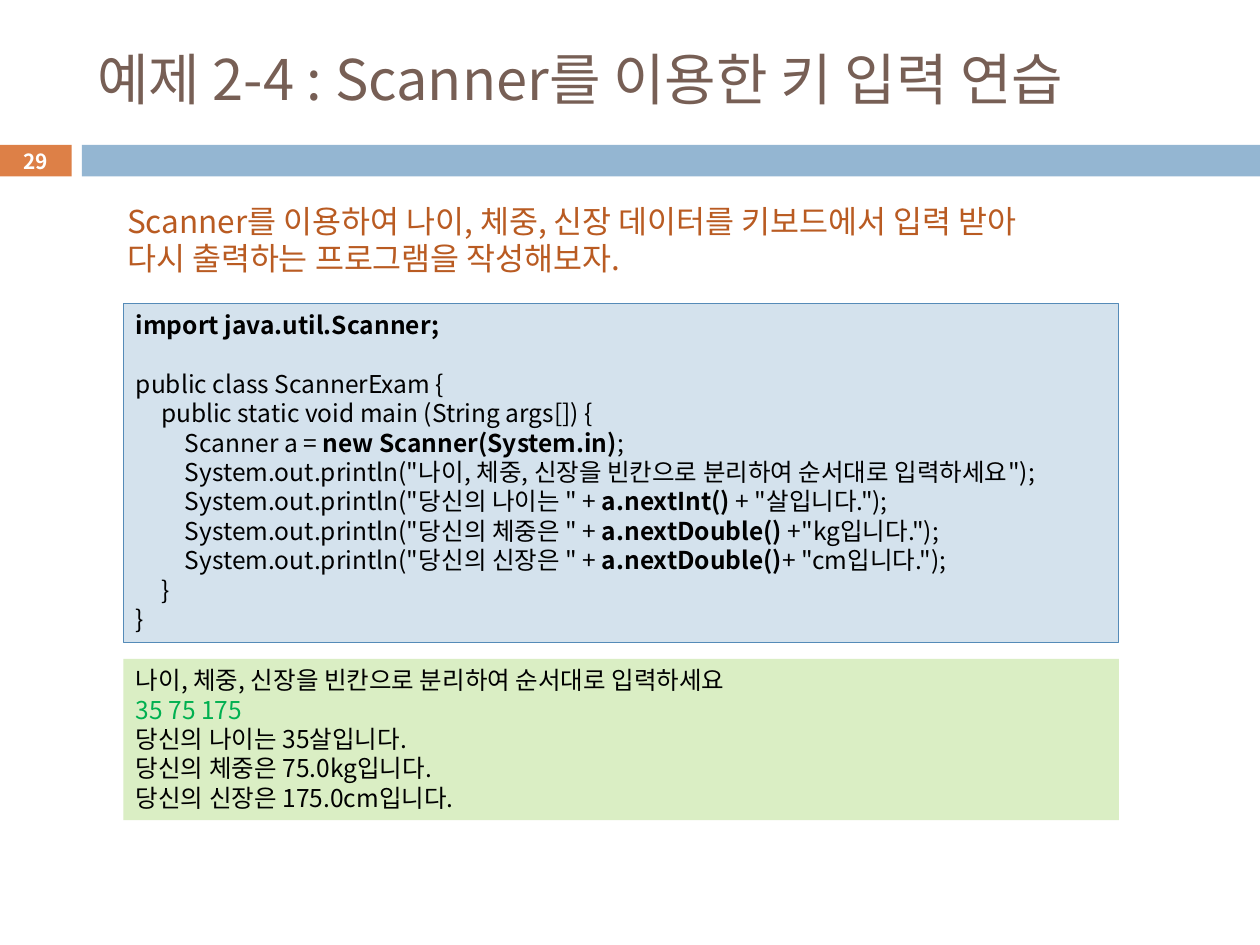
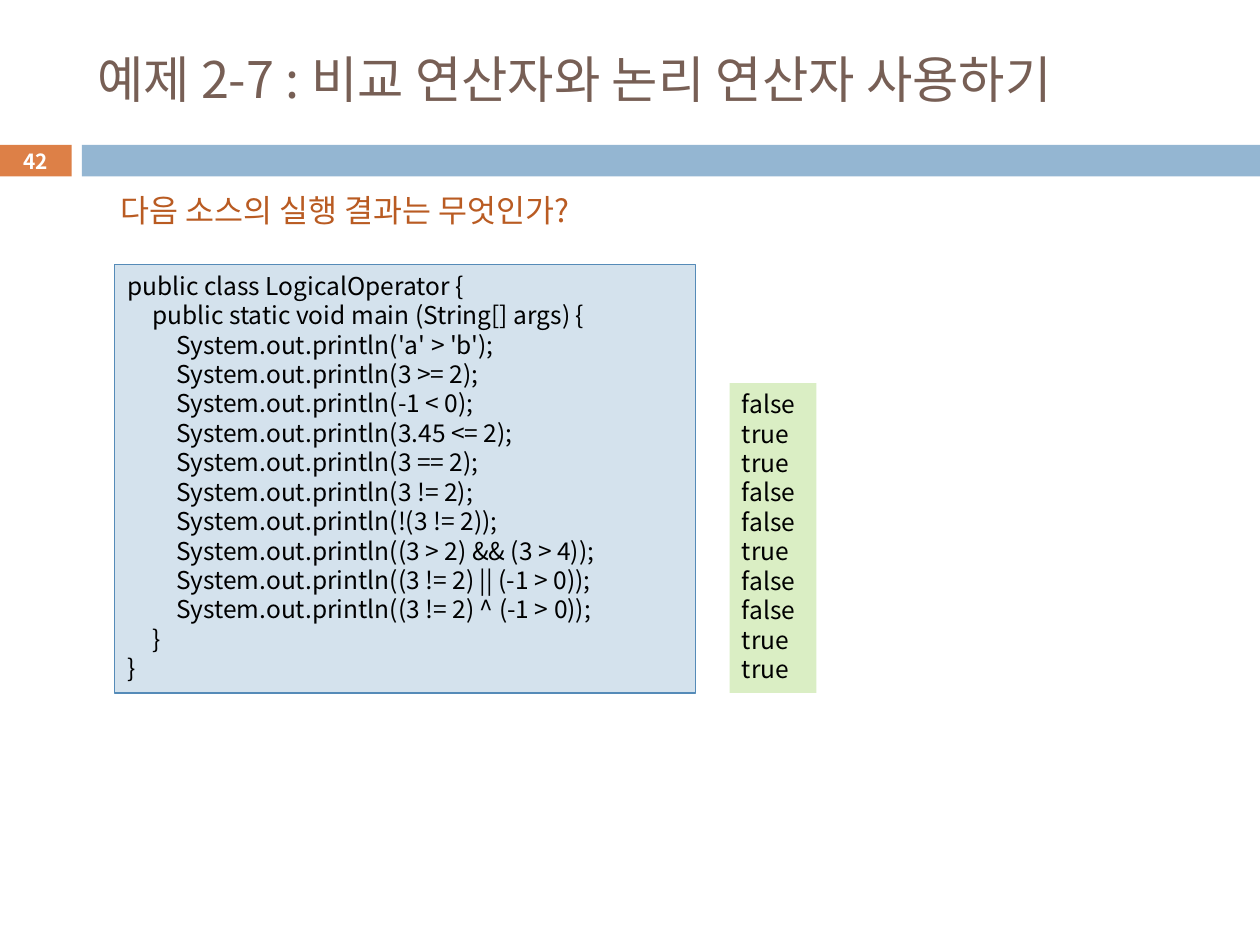
from dataclasses import dataclass

from lxml import etree
from pptx import Presentation
from pptx.dml.color import RGBColor
from pptx.enum import shapes, text
from pptx.oxml import ns
from pptx.util import Inches, Pt


@dataclass(frozen=True)
class Theme:
    font: str = "Noto Sans CJK KR"
    title: str = "775F55"
    question: str = "B95B22"
    number_band: str = "DD8047"
    title_band: str = "94B6D2"
    code_fill: str = "D4E2ED"
    code_line: str = "558BB8"
    output_fill: str = "DAEEC4"
    typed: str = "00B050"
    ink: str = "000000"
    white: str = "FFFFFF"
    question_size: float = 18
    code_size: float = 14
    number_size: float = 11.9
    leading: float = 1.2


THEME = Theme()
BOLD = {"bold": True}
TYPED = {"color": THEME.typed}
TAB_STOPS = (0.2, 0.39)
TITLE_BOX = (0.67, 0.25, 8.92, 0.74)
NUMBER_BAND = (0, 1.15, 0.57, 0.25)
TITLE_BAND = (0.65, 1.15, 9.35, 0.25)

# A line is a string, or a list of strings and (string, style) pairs.
SLIDES = [
    {
        "title": "예제 2-4 : Scanner를 이용한 키 입력 연습",
        "title_size": 32,
        "number": "29",
        "question": [
            "Scanner를 이용하여 나이, 체중, 신장 데이터를 키보드에서 입력 받아",
            "다시 출력하는 프로그램을 작성해보자.",
        ],
        "question_box": (0.91, 1.55, 7.92, 0.71),
        "code": [
            [("import java.util.Scanner;", BOLD)],
            "",
            "public class ScannerExam {",
            "\tpublic static void main (String args[]) {",
            ["\t\tScanner a = ", ("new Scanner(System.in)", BOLD), ";"],
            '\t\tSystem.out.println("나이, 체중, 신장을 빈칸으로 분리하여 순서대로 입력하세요");',
            ['\t\tSystem.out.println("당신의 나이는 " + ', ("a.nextInt()", BOLD), ' + "살입니다.");'],
            ['\t\tSystem.out.println("당신의 체중은 " + ', ("a.nextDouble()", BOLD), ' +"kg입니다.");'],
            ['\t\tSystem.out.println("당신의 신장은 " + ', ("a.nextDouble()", BOLD), '+ "cm입니다.");'],
            "\t}",
            "}",
        ],
        "code_box": (0.98, 2.41, 7.9, 2.69),
        "output": [
            "나이, 체중, 신장을 빈칸으로 분리하여 순서대로 입력하세요",
            [("35 75 175", TYPED)],
            "당신의 나이는 35살입니다.",
            "당신의 체중은 75.0kg입니다.",
            "당신의 신장은 175.0cm입니다.",
        ],
        "output_box": (0.98, 5.23, 7.9, 1.28),
    },
    {
        "title": "예제 2-7 : 비교 연산자와 논리 연산자 사용하기",
        "title_size": 28.8,
        "number": "42",
        "question": ["다음 소스의 실행 결과는 무엇인가?"],
        "question_box": (0.86, 1.47, 4.18, 0.4),
        "code": [
            "public class LogicalOperator {",
            "\tpublic static void main (String[] args) {",
            "\t\tSystem.out.println('a' > 'b');",
            "\t\tSystem.out.println(3 >= 2);",
            "\t\tSystem.out.println(-1 < 0);",
            "\t\tSystem.out.println(3.45 <= 2);",
            "\t\tSystem.out.println(3 == 2);",
            "\t\tSystem.out.println(3 != 2);",
            "\t\tSystem.out.println(!(3 != 2));",
            "\t\tSystem.out.println((3 > 2) && (3 > 4));",
            "\t\tSystem.out.println((3 != 2) || (-1 > 0));",
            "\t\tSystem.out.println((3 != 2) ^ (-1 > 0));",
            "\t}",
            "}",
        ],
        "code_box": (0.91, 2.1, 4.61, 3.4),
        "output": ["false", "true", "true", "false", "false",
                   "true", "false", "false", "true", "true"],
        "output_box": (5.79, 3.04, 0.69, 2.46),
    },
]


def inches(box):
    return [Inches(length) for length in box]


def add_run(paragraph, words, size, color, bold=False):
    run = paragraph.add_run()
    run.text = words
    run.font.size = Pt(size)
    run.font.bold = bold
    run.font.color.rgb = RGBColor.from_string(color)
    run.font.name = THEME.font
    east_asian = etree.SubElement(run.font._element, ns.qn("a:ea"))
    east_asian.set("typeface", THEME.font)


def add_tab_stops(paragraph):
    stops = etree.SubElement(paragraph._p.get_or_add_pPr(), ns.qn("a:tabLst"))
    for position in TAB_STOPS:
        etree.SubElement(stops, ns.qn("a:tab"), pos=str(Inches(position)), algn="l")


def write(shape, lines, size, color, bold=False, tabs=False,
          align=text.PP_ALIGN.LEFT, anchor=text.MSO_ANCHOR.TOP):
    frame = shape.text_frame
    frame.word_wrap = True
    frame.auto_size = text.MSO_AUTO_SIZE.NONE
    frame.vertical_anchor = anchor
    for index, line in enumerate(lines):
        paragraph = frame.add_paragraph() if index else frame.paragraphs[0]
        paragraph.alignment = align
        paragraph.line_spacing = Pt(size * THEME.leading)
        if tabs:
            add_tab_stops(paragraph)
        for part in [line] if isinstance(line, str) else line:
            words, style = (part, {}) if isinstance(part, str) else part
            if words:
                add_run(paragraph, words, size, **{"color": color, "bold": bold, **style})


def add_panel(slide, box, fill, line=None):
    panel = slide.shapes.add_shape(shapes.MSO_SHAPE.RECTANGLE, *inches(box))
    panel.shadow.inherit = False
    panel.fill.solid()
    panel.fill.fore_color.rgb = RGBColor.from_string(fill)
    if line:
        panel.line.color.rgb = RGBColor.from_string(line)
        panel.line.width = Pt(0.75)
    else:
        panel.line.fill.background()
    return panel


def add_header(slide, content):
    title = slide.shapes.title
    title.left, title.top, title.width, title.height = inches(TITLE_BOX)
    write(title, [content["title"]], content["title_size"], THEME.title,
          anchor=text.MSO_ANCHOR.MIDDLE)
    add_panel(slide, TITLE_BAND, THEME.title_band)
    number = add_panel(slide, NUMBER_BAND, THEME.number_band)
    write(number, [content["number"]], THEME.number_size, THEME.white, bold=True,
          align=text.PP_ALIGN.CENTER, anchor=text.MSO_ANCHOR.MIDDLE)


def add_example(deck, content):
    slide = deck.slides.add_slide(deck.slide_layouts.get_by_name("Title Only"))
    add_header(slide, content)
    question = slide.shapes.add_textbox(*inches(content["question_box"]))
    write(question, content["question"], THEME.question_size, THEME.question)
    code = add_panel(slide, content["code_box"], THEME.code_fill, THEME.code_line)
    write(code, content["code"], THEME.code_size, THEME.ink, tabs=True)
    output = add_panel(slide, content["output_box"], THEME.output_fill)
    write(output, content["output"], THEME.code_size, THEME.ink)


def main():
    deck = Presentation()
    deck.slide_width, deck.slide_height = Inches(10), Inches(7.5)
    for content in SLIDES:
        add_example(deck, content)
    deck.save("out.pptx")


if __name__ == "__main__":
    main()
